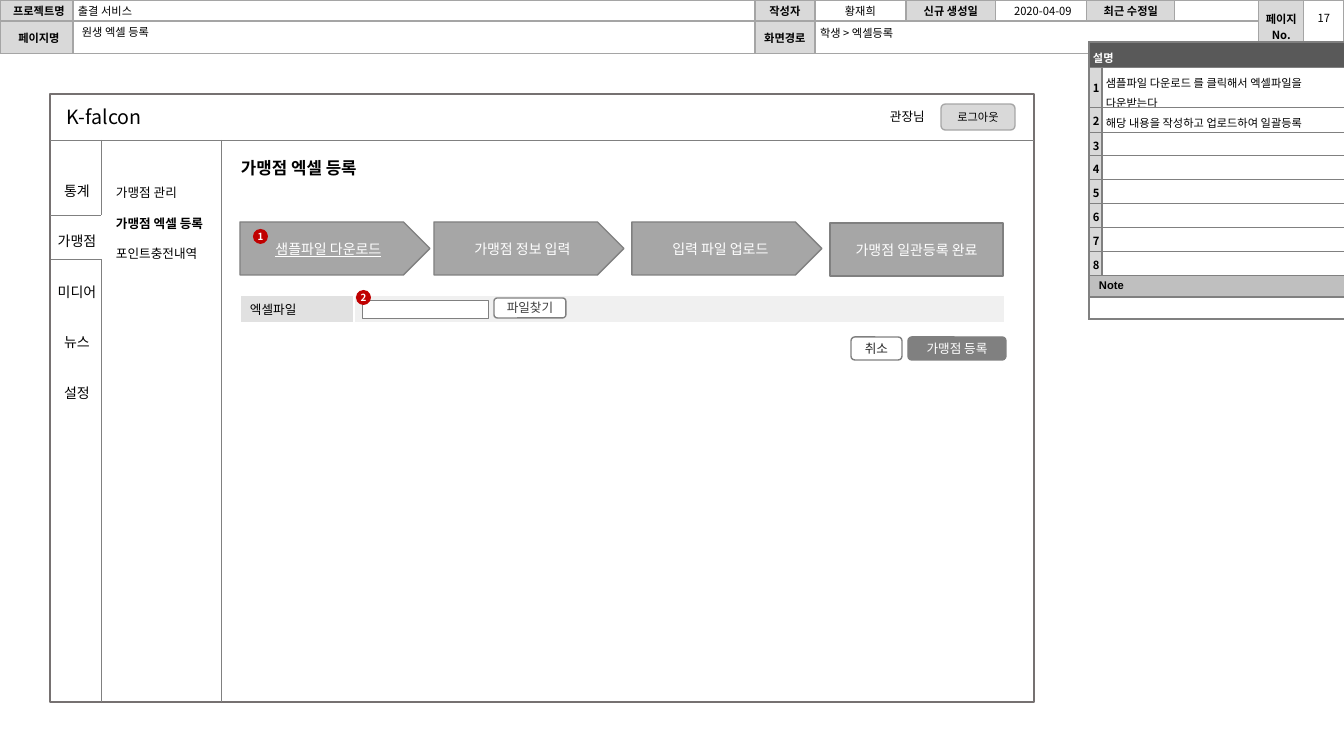
from lxml import etree
from pptx import Presentation
from pptx.dml.color import RGBColor
from pptx.enum.shapes import MSO_CONNECTOR, MSO_SHAPE
from pptx.enum.text import MSO_ANCHOR, PP_ALIGN
from pptx.oxml.ns import qn
from pptx.util import Pt

PX = 12192000 / 1344
FONT = "Noto Sans CJK KR"
LEFT, MID = PP_ALIGN.LEFT, PP_ALIGN.CENTER
RECT, ROUND = MSO_SHAPE.RECTANGLE, MSO_SHAPE.ROUNDED_RECTANGLE
PLATE, OVAL = MSO_SHAPE.PENTAGON, MSO_SHAPE.OVAL
BLACK, WHITE, GREY, LABEL = "000000", "FFFFFF", "808080", "D9D9D9"

HEAD = [
    ["프로젝트명", "출결 서비스", "작성자", "황재희", "신규 생성일", "",
     "최근 수정일", "", "페이지 No.", ""],
    ["페이지명", "", "화면경로", "", "", "", "", "", "", ""],
]
HEAD_COLS = [73, 682, 60, 91, 90, 91, 88, 84, 45, 40]
HEAD_ROWS = [21, 32]

NOTES = [
    ["샘플파일 다운로드 를 클릭해서 엑셀파일을", "다운받는다"],
    ["해당 내용을 작성하고 업로드하여 일괄등록"],
    [""], [""], [""], [""], [""], [""],
]
NOTE_COLS = [13, 243]
NOTE_ROWS = [24, 40, 25, 23, 24, 24, 24, 24, 24, 21, 22]

TEXTS = [
    (78, 21, 669, 21, ["원생 엑셀 등록"], 8, (4, 4, 4, 4), {}),
    (1008, 0, 70, 19, ["2020-04-09"], 8, (0, 4, 0, 4), {"align": MID}),
    (1305, 1, 38, 29, ["17"], 8, (0, 12, 0, 4), {"align": MID}),
    (816, 22, 435, 21, ["학생 > 엑셀등록"], 8, (4, 4, 4, 4), {}),
    (42, 169, 70, 236, ["통계", "가맹점", "미디어", "뉴스", "설정"], 10,
     (10, 5, 10, 5), {"align": MID, "lead": 1.5, "after": 18}),
    (57, 100, 100, 34, ["K-falcon"], 14, (10, 5, 10, 5), {}),
    (106, 165, 126, 97, ["가맹점 관리", "가맹점 엑셀 등록", "포인트충전내역"], 9,
     (10, 5, 10, 5), {"lead": 2, "strong": 1}),
    (231, 153, 170, 30, ["가맹점 엑셀 등록"], 12, (10, 5, 10, 5), {"bold": True}),
    (880, 104, 58, 25, ["관장님"], 9, (10, 5, 0, 5), {}),
]

LINES = [
    (101, 140, 101, 702, GREY), (221, 140, 221, 702, GREY),
    (50, 140, 1034, 140, GREY), (101, 215, 50, 215, GREY),
    (102, 259, 51, 259, GREY), (101, 215, 101, 259, WHITE),
]

SHAPES = [
    (ROUND, 941, 104, 74, 26, LABEL, "A6A6A6", 1, "로그아웃", 8, BLACK),
    (RECT, 362, 300, 126, 18, WHITE, GREY, 0.25, "", 9, BLACK),
    (ROUND, 494, 298, 72, 20, WHITE, GREY, 1, "파일찾기", 9, "404040"),
    (PLATE, 240, 222, 190, 53, "A6A6A6", GREY, 1, "샘플파일 다운로드", 10, WHITE),
    (PLATE, 434, 222, 190, 53, "A6A6A6", GREY, 1, "가맹점 정보 입력", 10, WHITE),
    (PLATE, 632, 222, 190, 53, "A6A6A6", GREY, 1, "입력 파일 업로드", 10, WHITE),
    (RECT, 830, 223, 173, 53, "A6A6A6", GREY, 1, "가맹점 일관등록 완료", 10, WHITE),
    (ROUND, 908, 337, 98, 23, GREY, GREY, 1, "가맹점 등록", 9, WHITE),
    (ROUND, 851, 337, 51, 23, WHITE, GREY, 1, "취소", 9, "262626"),
    (OVAL, 253, 229, 15, 15, "C00000", None, 0, "1", 7, WHITE),
    (OVAL, 356, 290, 15, 15, "C00000", None, 0, "2", 7, WHITE),
]


def px(n):
    return round(n * PX)


def paint(fmt, hue):
    fmt.solid()
    fmt.fore_color.rgb = RGBColor.from_string(hue)


def inset(box, pad):
    box.margin_left, box.margin_top, box.margin_right, box.margin_bottom = map(px, pad)


def write(frame, rows, size, hue=BLACK, align=LEFT, bold=False, lead=None,
          after=0, strong=None, face=FONT, under=False):
    for i, row in enumerate(rows):
        para = frame.paragraphs[0] if i == 0 else frame.add_paragraph()
        para.text, para.alignment = row, align
        if lead:
            para.line_spacing = lead
        if after and i < len(rows) - 1:
            para.space_after = Pt(after)
        font = para.font
        font.size, font.bold, font.name = Pt(size), bold or i == strong, face
        if under:
            font.underline = True
        paint(font.fill, hue)
        etree.SubElement(font._element, qn("a:ea")).set("typeface", face)
        if not row:
            etree.SubElement(para._p, qn("a:endParaRPr")).set("sz", str(size * 100))


def edge(cell, hue):
    props = cell._tc.get_or_add_tcPr()
    for i, side in enumerate(("lnL", "lnR", "lnT", "lnB")):
        line = etree.Element(qn("a:" + side), w="12700")
        fill = etree.SubElement(line, qn("a:solidFill"))
        etree.SubElement(fill, qn("a:srgbClr")).set("val", hue)
        props.insert(i, line)


def grid(slide, x, y, cols, rows, hue):
    frame = slide.shapes.add_table(len(rows), len(cols), px(x), px(y),
                                   px(sum(cols)), px(sum(rows)))
    table = frame.table
    table.first_row = table.horz_banding = False
    for col, wide in zip(table.columns, cols):
        col.width = px(wide)
    for row, high in zip(table.rows, rows):
        row.height = px(high)
    for cell in table.iter_cells():
        edge(cell, hue)
    return table


def put(cell, rows, fill, pad, size=8, anchor=MSO_ANCHOR.MIDDLE, **style):
    paint(cell.fill, fill)
    inset(cell, pad)
    cell.vertical_anchor = anchor
    write(cell.text_frame, rows, size, **style)


def header(slide):
    table = grid(slide, 0, 0, HEAD_COLS, HEAD_ROWS, "A5A5A5")
    for r, row in enumerate(HEAD):
        for c, word in enumerate(row):
            tag = c % 2 == 0 and bool(word)
            put(table.cell(r, c), [word], LABEL if tag else WHITE,
                (5 if c < 2 else 0, 0, 0, 0), bold=tag, align=LEFT if c == 1 else MID)
    for c in (8, 9):
        table.cell(0, c).merge(table.cell(1, c))
    table.cell(1, 3).merge(table.cell(1, 7))


def notes(slide):
    table = grid(slide, 1089, 42, NOTE_COLS, NOTE_ROWS, GREY)
    last = len(NOTE_ROWS) - 1
    for r in (0, last - 1, last):
        table.cell(r, 0).merge(table.cell(r, 1))
    put(table.cell(0, 0), ["설명"], "595959", (4, 7, 10, 5), hue=WHITE,
        bold=True, anchor=MSO_ANCHOR.TOP)
    for r, rows in enumerate(NOTES, 1):
        put(table.cell(r, 0), [str(r)], LABEL, (4, 5, 4, 5), bold=True, align=MID)
        put(table.cell(r, 1), rows, WHITE, (4, 4, 4, 4), lead=1.2)
    put(table.cell(last - 1, 0), ["Note"], "BFBFBF", (10, 4, 4, 4), bold=True,
        face="Arial", anchor=MSO_ANCHOR.TOP)
    put(table.cell(last, 0), [""], WHITE, (4, 4, 4, 4))


def shape(slide, kind, x, y, w, h, fill, line, wide, word, size, hue):
    item = slide.shapes.add_shape(kind, px(x), px(y), px(w), px(h))
    item.shadow.inherit = False
    if fill:
        paint(item.fill, fill)
    else:
        item.fill.background()
    if line:
        paint(item.line.fill, line)
        item.line.width = Pt(wide)
    else:
        item.line.fill.background()
    if word:
        frame = item.text_frame
        inset(frame, (0, 0, 0, 0))
        frame.word_wrap, frame.vertical_anchor = True, MSO_ANCHOR.MIDDLE
        write(frame, [word], size, hue, MID, bold=kind == OVAL,
              under=word == "샘플파일 다운로드")


def main():
    """Build the storyboard slide for bulk Excel registration."""
    deck = Presentation()
    deck.slide_width, deck.slide_height = px(1344), px(756)
    slide = deck.slides.add_slide(deck.slide_layouts[6])
    header(slide)
    shape(slide, RECT, 50, 94, 984, 608, None, "767171", 1, "", 9, BLACK)
    for x, y, w, h, rows, size, pad, style in TEXTS:
        frame = slide.shapes.add_textbox(px(x), px(y), px(w), px(h)).text_frame
        frame.word_wrap = True
        inset(frame, pad)
        write(frame, rows, size, **style)
    notes(slide)
    for *ends, hue in LINES:
        line = slide.shapes.add_connector(MSO_CONNECTOR.STRAIGHT, *map(px, ends))
        paint(line.line.fill, hue)
        line.line.width = Pt(0.5)
        etree.SubElement(line._element.spPr, qn("a:effectLst"))
    field = grid(slide, 240, 295, [114, 651], [28], WHITE)
    for c, (word, fill) in enumerate([("엑셀파일", "E1E1E1"), ("", "F0F0F0")]):
        put(field.cell(0, c), [word], fill, (10, 5, 10, 5), 9, MSO_ANCHOR.TOP)
    for spec in SHAPES:
        shape(slide, *spec)
    deck.save("out.pptx")


if __name__ == "__main__":
    main()
